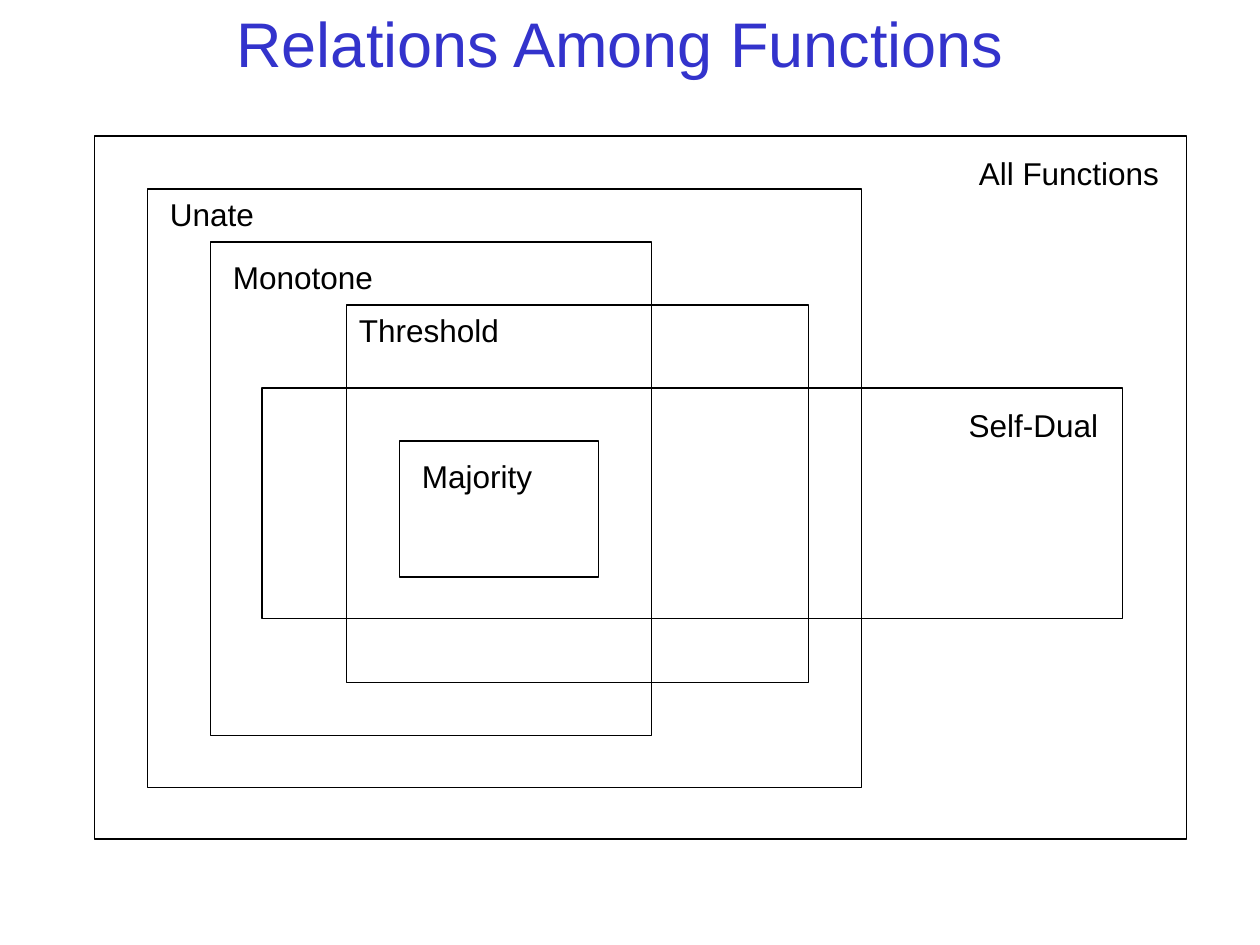
"""Build a slide of nested rectangles relating classes of Boolean functions."""
from dataclasses import dataclass

from pptx import Presentation
from pptx.dml.color import RGBColor
from pptx.enum.shapes import MSO_SHAPE
from pptx.enum.text import MSO_ANCHOR, MSO_AUTO_SIZE, PP_ALIGN
from pptx.slide import Slide
from pptx.text.text import TextFrame
from pptx.util import Inches, Pt


@dataclass(frozen=True)
class Theme:
    font: str = "Arial"
    title_color: RGBColor = RGBColor(0x33, 0x33, 0xCC)
    ink: RGBColor = RGBColor(0x00, 0x00, 0x00)
    paper: RGBColor = RGBColor(0xFF, 0xFF, 0xFF)
    title_size: int = 36
    label_size: int = 18
    line_width: float = 0.75


@dataclass(frozen=True)
class Area:
    left: float
    top: float
    width: float
    height: float

    def lengths(self) -> tuple[Inches, ...]:
        return tuple(Inches(n) for n in (self.left, self.top, self.width, self.height))


@dataclass(frozen=True)
class FunctionClass:
    name: str
    region: Area
    label: Area


THEME = Theme()
TITLE_AREA = Area(0.5, 0, 8.84, 0.67)
LABEL_HEIGHT = 0.4
FUNCTION_CLASSES = (
    FunctionClass("All Functions", Area(0.75, 1.08, 8.67, 5.58), Area(7.67, 1.17, 1.63, LABEL_HEIGHT)),
    FunctionClass("Unate", Area(1.17, 1.5, 5.67, 4.75), Area(1.25, 1.5, 0.88, LABEL_HEIGHT)),
    FunctionClass("Monotone", Area(1.67, 1.92, 3.5, 3.92), Area(1.75, 2, 1.31, LABEL_HEIGHT)),
    FunctionClass("Self-Dual", Area(2.08, 3.08, 6.83, 1.83), Area(7.59, 3.17, 1.23, LABEL_HEIGHT)),
    FunctionClass("Threshold", Area(2.75, 2.42, 3.67, 3), Area(2.75, 2.42, 1.31, LABEL_HEIGHT)),
    FunctionClass("Majority", Area(3.17, 3.5, 1.58, 1.08), Area(3.25, 3.58, 1.09, LABEL_HEIGHT)),
)


def write_text(frame: TextFrame, text: str, size: int, color: RGBColor, align: PP_ALIGN) -> None:
    para = frame.paragraphs[0]
    para.alignment = align
    span = para.add_run()
    span.text = text
    span.font.name = THEME.font
    span.font.size = Pt(size)
    span.font.color.rgb = color


def draw_title(page: Slide, text: str) -> None:
    title = page.shapes.title
    title.left, title.top, title.width, title.height = TITLE_AREA.lengths()
    frame = title.text_frame
    frame.vertical_anchor = MSO_ANCHOR.MIDDLE
    frame.auto_size = MSO_AUTO_SIZE.NONE
    write_text(frame, text, THEME.title_size, THEME.title_color, PP_ALIGN.CENTER)


def draw_region(page: Slide, area: Area) -> None:
    box = page.shapes.add_shape(MSO_SHAPE.RECTANGLE, *area.lengths())
    box.shadow.inherit = False
    box.fill.background()
    box.line.color.rgb = THEME.ink
    box.line.width = Pt(THEME.line_width)


def draw_label(page: Slide, text: str, area: Area) -> None:
    frame = page.shapes.add_textbox(*area.lengths()).text_frame
    frame.word_wrap = False
    frame.auto_size = MSO_AUTO_SIZE.SHAPE_TO_FIT_TEXT
    write_text(frame, text, THEME.label_size, THEME.ink, PP_ALIGN.LEFT)


def main() -> None:
    deck = Presentation()
    deck.slide_width, deck.slide_height = Inches(10), Inches(7.5)
    page = deck.slides.add_slide(deck.slide_layouts.get_by_name("Title Only"))
    page.background.fill.solid()
    page.background.fill.fore_color.rgb = THEME.paper
    draw_title(page, "Relations Among Functions")
    for function_class in FUNCTION_CLASSES:
        draw_region(page, function_class.region)
    for function_class in FUNCTION_CLASSES:
        draw_label(page, function_class.name, function_class.label)
    deck.save("out.pptx")


if __name__ == "__main__":
    main()
